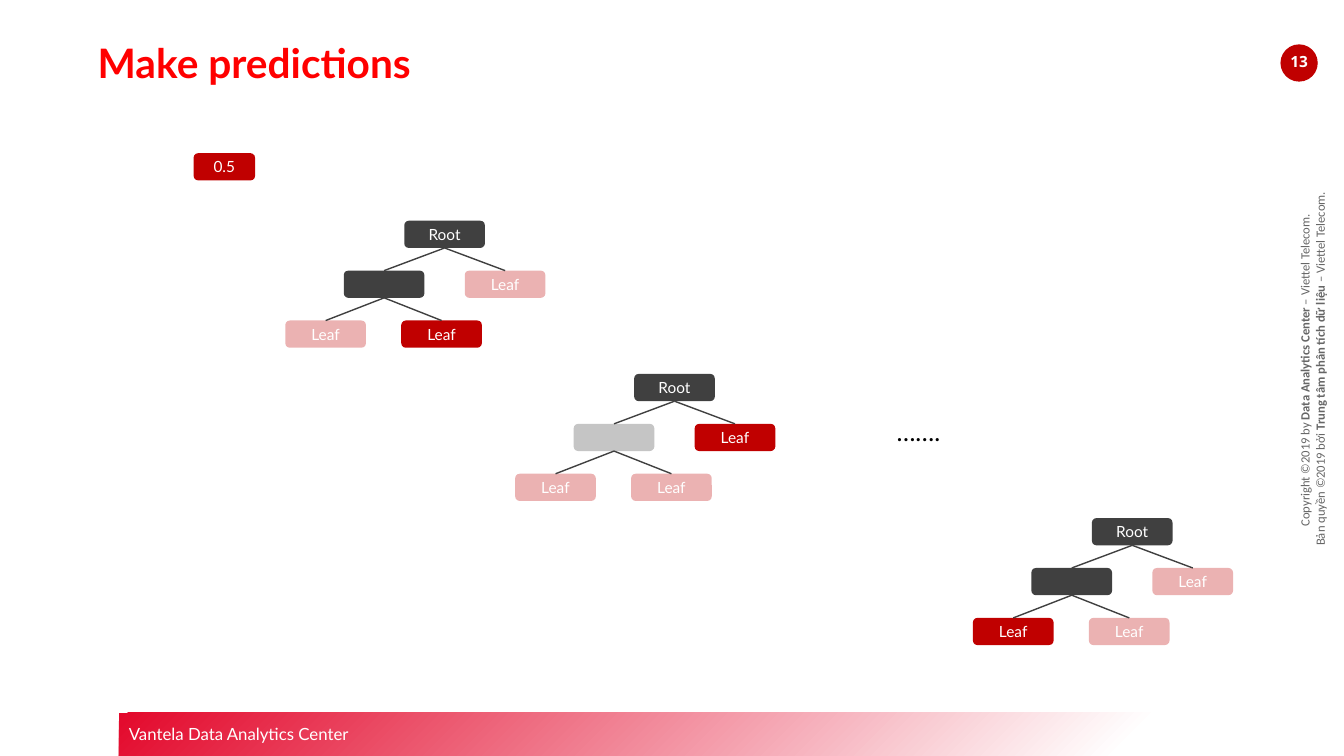
from lxml import etree
from pptx import Presentation
from pptx.dml.color import RGBColor
from pptx.enum.shapes import MSO_CONNECTOR as Connector, MSO_SHAPE as Shape
from pptx.enum.text import MSO_ANCHOR as Anchor, PP_ALIGN as Align
from pptx.oxml import parse_xml
from pptx.oxml.ns import nsdecls, qn
from pptx.util import Inches, Pt

WIDTH, HEIGHT = 13.33, 7.5
RED, DARK, WHITE = "C00000", "404040", "FFFFFF"
FADED = 30  # percent opacity of nodes off the decision path
NODE_W, NODE_H, LEVEL = 0.8, 0.27, 0.495

# Node name: (centre from the tree's left edge, level, label)
NODES = {
    "root": (1.58, 0, "Root"),
    "inner": (0.98, 1, ""),
    "right": (2.18, 1, "Leaf"),
    "low_left": (0.4, 2, "Leaf"),
    "low_right": (1.55, 2, "Leaf"),
}
BRANCHES = [("root", "inner"), ("root", "right"),
            ("inner", "low_left"), ("inner", "low_right")]

# Left, top and the nodes that the prediction passes through
TREES = [
    (2.83, 2.19, {"root", "inner", "low_right"}),
    (5.11, 3.71, {"root", "right"}),
    (9.65, 5.14, {"root", "inner", "low_left"}),
]


def color(value):
    return RGBColor.from_string(value)


def inches(*lengths):
    return [Inches(length) for length in lengths]


def write(box, lines, size=11, font="Lato", fill=WHITE, bold=False,
          align=Align.CENTER, anchor=Anchor.TOP, margins=(0.1, 0.05), spacing=None):
    """Each line is a string or a list of (text, bold) pairs."""
    frame = box.text_frame
    frame.word_wrap = True
    frame.vertical_anchor = anchor
    frame.margin_left = frame.margin_right = Inches(margins[0])
    frame.margin_top = frame.margin_bottom = Inches(margins[1])
    for index, line in enumerate(lines):
        para = frame.add_paragraph() if index else frame.paragraphs[0]
        para.alignment = align
        if spacing:
            para.line_spacing = Pt(spacing)
        for text, heavy in [(line, bold)] if isinstance(line, str) else line:
            span = para.add_run()
            span.text = text
            span.font.name, span.font.size, span.font.bold = font, Pt(size), heavy
            span.font.color.rgb = color(fill)


def add_text(page, box, lines, **style):
    label = page.shapes.add_textbox(*inches(*box))
    write(label, lines, **style)
    return label


def add_block(page, kind, box, fill, opacity=100):
    block = page.shapes.add_shape(kind, *inches(*box))
    block.shadow.inherit = False
    block.line.fill.background()
    block.fill.solid()
    block.fill.fore_color.rgb = color(fill)
    if opacity < 100:
        tone = block.fill._xPr.find(qn("a:solidFill"))[0]
        etree.SubElement(tone, qn("a:alpha")).set("val", str(opacity * 1000))
    return block


def add_node(page, box, text, fill, opacity=100):
    node = add_block(page, Shape.ROUNDED_RECTANGLE, box, fill, opacity)
    if text:
        write(node, [text], anchor=Anchor.MIDDLE, margins=(0, 0))


def add_branch(page, start, end):
    branch = page.shapes.add_connector(Connector.STRAIGHT, *inches(*start, *end))
    branch.line.color.rgb = color(DARK)
    branch.line.width = Pt(1)
    etree.SubElement(branch._element.spPr, qn("a:effectLst"))


def add_tree(page, left, top, active):
    spots = {name: (left + center, top + level * LEVEL)
             for name, (center, level, _) in NODES.items()}
    for name, (x, y) in spots.items():
        add_node(page, (x - NODE_W / 2, y, NODE_W, NODE_H), NODES[name][2],
                 DARK if name in ("root", "inner") else RED,
                 100 if name in active else FADED)
    for parent, child in BRANCHES:
        x, y = spots[parent]
        add_branch(page, (x, y + NODE_H), spots[child])


def add_footer(page, box):
    banner = add_block(page, Shape.RECTANGLE, box, WHITE)
    stops = "".join(
        f'<a:gs pos="{share * 1000}"><a:srgbClr val="{tone}"/></a:gs>'
        for share, tone in [(0, WHITE), (18, WHITE), (100, "E3092C")])
    gradient = parse_xml(
        f'<a:gradFill {nsdecls("a")} rotWithShape="1"><a:gsLst>{stops}</a:gsLst>'
        '<a:path path="circle"><a:fillToRect l="100000" t="100000"/></a:path>'
        '<a:tileRect r="-100000" b="-100000"/></a:gradFill>')
    props = banner._element.spPr
    props.replace(props.find(qn("a:solidFill")), gradient)
    write(banner, ["Vantela Data Analytics Center"], size=12,
          align=Align.LEFT, anchor=Anchor.MIDDLE)


def add_copyright(page, box):
    notice = add_text(page, box, [
        [("Copyright ©2019 by ", False), ("Data Analytics Center", True),
         (" – Viettel Telecom. ", False)],
        [("Bản quyền ©2019 bởi ", False), ("Trung tâm phân tích dữ liệu ", True),
         ("– Viettel Telecom.", False)],
    ], size=9, font="Calibri", fill="666666")
    notice.rotation = 270


def add_page_number(page, left, top, size):
    add_block(page, Shape.OVAL, (left, top, size, size), RED)
    add_text(page, (left, top + 0.08, size, 0.19), ["13"], font="Open Sans",
             bold=True, margins=(0, 0))


def main():
    deck = Presentation()
    deck.slide_width, deck.slide_height = inches(WIDTH, HEIGHT)
    page = deck.slides.add_slide(deck.slide_layouts[6])

    # Frame of the page
    add_footer(page, (1.18, 7.07, WIDTH - 1.18, HEIGHT - 7.07))
    add_copyright(page, (10.71, 3.46, 4.61, 0.4))
    add_page_number(page, 12.7, 0.44, 0.37)
    add_text(page, (0.87, 0.35, 10.47, 0.56), ["Make predictions"], size=29,
             fill="FF0000", bold=True, align=Align.LEFT, spacing=33)

    # First guess, then the chain of trees
    add_node(page, (1.92, 1.52, 0.61, NODE_H), "0.5", RED)
    for left, top, active in TREES:
        add_tree(page, left, top, active)
    add_text(page, (8.73, 4.08, 0.76, 0.4), ["……."], size=18, fill="000000")

    deck.save("out.pptx")


if __name__ == "__main__":
    main()
